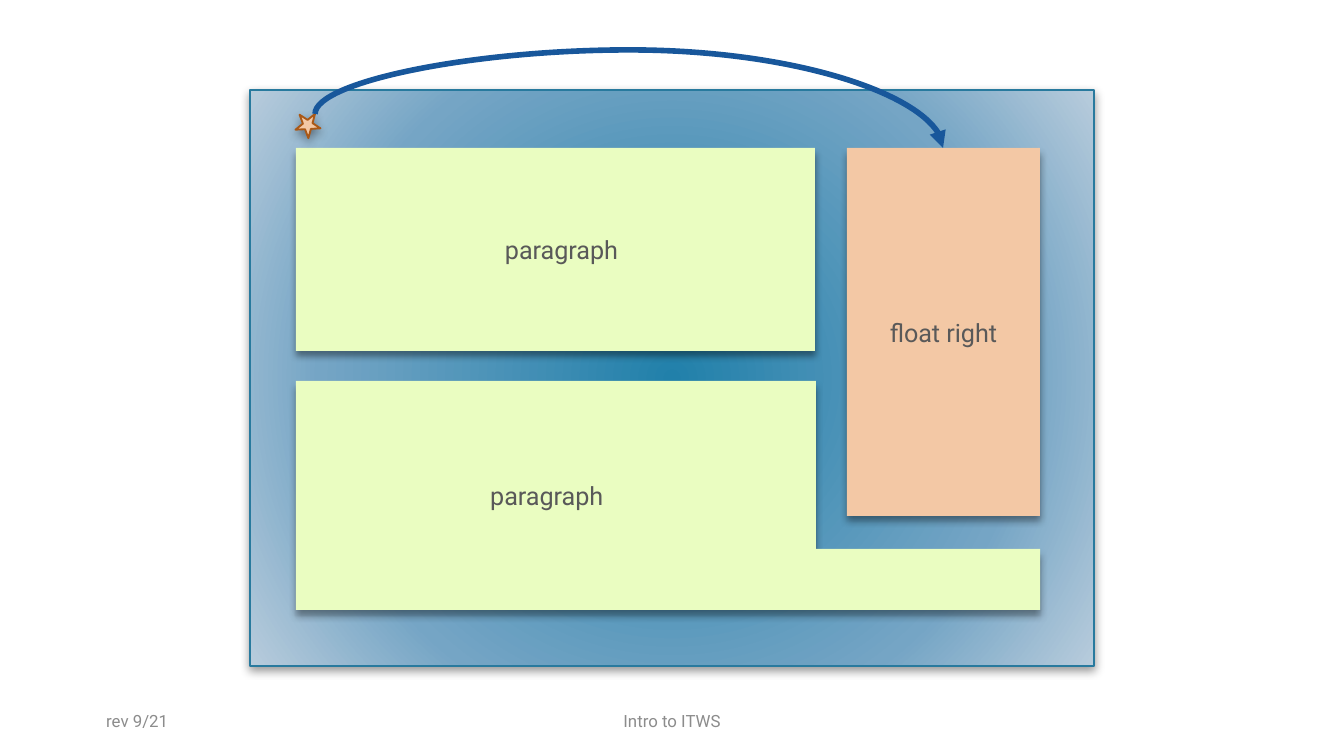
from dataclasses import dataclass

import lxml.etree
import pptx
import pptx.dml.color
import pptx.enum.shapes
import pptx.enum.text
import pptx.oxml
import pptx.oxml.ns
import pptx.util

SHAPE = pptx.enum.shapes.MSO_SHAPE
ALIGN = pptx.enum.text.PP_ALIGN
EMU_PER_PX = 914400 / 134.4


@dataclass(frozen=True)
class Theme:
    font: str = "Roboto"
    body: float = 13.5
    footer: float = 9
    text: str = "595959"
    muted: str = "8C8C8C"
    peach: str = "F3C8A5"
    lime: str = "EAFDC1"
    star_edge: str = "AA5816"
    arrow: str = "18579B"
    page_edge: str = "287A9E"
    page_stops: tuple = ((0, "2180AA"), (69, "75A5C5"), (100, "B8CCDC"))


@dataclass(frozen=True)
class Shadow:
    blur: float
    dist: float


@dataclass(frozen=True)
class Block:
    corners: tuple
    fill: str
    text: str
    align: object = ALIGN.CENTER
    indent: int = 0


@dataclass(frozen=True)
class Footer:
    left: int
    width: int
    text: str
    align: object


THEME = Theme()
OUTLINED = Shadow(5, 2)
RAISED = Shadow(4, 3)


def px(n: float) -> int:
    return pptx.util.Emu(round(n * EMU_PER_PX))


def rgb(color: str):
    return pptx.dml.color.RGBColor.from_string(color)


def add_xml(parent, tag: str, **attrs):
    el = lxml.etree.SubElement(parent, pptx.oxml.ns.qn(tag))
    for name, value in attrs.items():
        el.set(name, str(value))
    return el


def put_text(sp, text: str, *, size=THEME.body, color=THEME.text,
             align=ALIGN.CENTER, indent=0) -> None:
    tf = sp.text_frame
    tf.word_wrap = True
    tf.vertical_anchor = pptx.enum.text.MSO_ANCHOR.MIDDLE
    p = tf.paragraphs[0]
    p.alignment = align
    if indent:
        p._p.get_or_add_pPr().set("marL", str(px(indent)))
    r = p.add_run()
    r.text = text
    r.font.name = THEME.font
    r.font.size = pptx.util.Pt(size)
    r.font.color.rgb = rgb(color)


def style(sp, fill: str, shadow: Shadow, edge: str = "") -> None:
    sp.fill.solid()
    sp.fill.fore_color.rgb = rgb(fill)
    if edge:
        sp.line.color.rgb = rgb(edge)
        sp.line.width = pptx.util.Pt(1)
    else:
        sp.line.fill.background()
    sp.shadow.inherit = False
    effects = sp._element.spPr.find(pptx.oxml.ns.qn("a:effectLst"))
    outer = add_xml(effects, "a:outerShdw", blurRad=pptx.util.Pt(shadow.blur),
                    dist=pptx.util.Pt(shadow.dist), dir=5400000, rotWithShape=0)
    add_xml(add_xml(outer, "a:srgbClr", val="000000"), "a:alpha", val=40000)


def radial_fill(sp, stops: tuple) -> None:
    spPr = sp._element.spPr
    grad = lxml.etree.Element(pptx.oxml.ns.qn("a:gradFill"), rotWithShape="1")
    gs_list = add_xml(grad, "a:gsLst")
    for pos, color in stops:
        add_xml(add_xml(gs_list, "a:gs", pos=pos * 1000), "a:srgbClr", val=color)
    circle = add_xml(grad, "a:path", path="circle")
    add_xml(circle, "a:fillToRect", l=50000, t=50000, r=50000, b=50000)
    spPr.replace(spPr.find(pptx.oxml.ns.qn("a:solidFill")), grad)


def add_preset(s, kind, left: int, top: int, width: int, height: int):
    return s.shapes.add_shape(kind, px(left), px(top), px(width), px(height))


def draw_block(s, block: Block) -> None:
    if len(block.corners) == 2:
        (left, top), (right, bottom) = block.corners
        sp = add_preset(s, SHAPE.RECTANGLE, left, top, right - left, bottom - top)
    else:
        start, *rest = block.corners
        fb = s.shapes.build_freeform(*start, scale=EMU_PER_PX)
        fb.add_line_segments(rest, close=True)
        sp = fb.convert_to_shape()
    style(sp, block.fill, RAISED)
    put_text(sp, block.text, align=block.align, indent=block.indent)


def draw_arc(s, start: tuple, end: tuple, peak: int) -> None:
    span, rise = start[0] - end[0], start[1] - end[1]
    mid_x, mid_y = (start[0] + end[0]) / 2, (start[1] + end[1]) / 2
    cxn = s.shapes.add_connector(pptx.enum.shapes.MSO_CONNECTOR.CURVE, 0, 0, 0, 0)
    cxn.left, cxn.top = px(mid_x - rise / 2), px(mid_y - span / 2)
    cxn.width, cxn.height = px(rise), px(span)
    cxn.line.color.rgb = rgb(THEME.arrow)
    cxn.line.width = pptx.util.Pt(3)
    spPr = cxn._element.spPr
    xfrm = spPr.find(pptx.oxml.ns.qn("a:xfrm"))
    xfrm.set("rot", str(270 * 60000))
    xfrm.set("flipV", "1")
    guides = spPr.find(pptx.oxml.ns.qn("a:prstGeom")).find(pptx.oxml.ns.qn("a:avLst"))
    bend = round((start[1] - peak) / rise * 100000)
    add_xml(guides, "a:gd", name="adj1", fmla=f"val {bend}")
    add_xml(spPr.find(pptx.oxml.ns.qn("a:ln")), "a:headEnd", type="triangle")
    add_xml(spPr, "a:effectLst")


def draw_footer(s, footer: Footer) -> None:
    sp = s.shapes.add_textbox(px(footer.left), px(700), px(footer.width), px(41))
    put_text(sp, footer.text, size=THEME.footer, color=THEME.muted, align=footer.align)


BLOCKS = (
    Block(((847, 148), (1040, 516)), THEME.peach, "float right"),
    Block(((816, 381), (816, 549), (1040, 549), (1040, 610), (296, 610), (296, 381)),
          THEME.lime, "paragraph", ALIGN.LEFT, 181),
    Block(((296, 148), (815, 351)), THEME.lime, "paragraph", indent=12),
)
FOOTERS = (
    Footer(93, 361, "rev 9/21", ALIGN.LEFT),
    Footer(512, 320, "Intro to ITWS", ALIGN.CENTER),
)

prs = pptx.Presentation()
prs.slide_width, prs.slide_height = px(1344), px(756)
s = prs.slides.add_slide(prs.slide_layouts[6])

page = add_preset(s, SHAPE.RECTANGLE, 250, 90, 844, 576)
style(page, THEME.page_stops[0][1], OUTLINED, THEME.page_edge)
radial_fill(page, THEME.page_stops)

for block in BLOCKS:
    draw_block(s, block)

star = add_preset(s, SHAPE.STAR_5_POINT, 296, 112, 25, 24)
star.rotation = 33.2
style(star, THEME.peach, OUTLINED, THEME.star_edge)

draw_arc(s, start=(943, 148), end=(315, 114), peak=50)

for footer in FOOTERS:
    draw_footer(s, footer)

prs.save("out.pptx")
